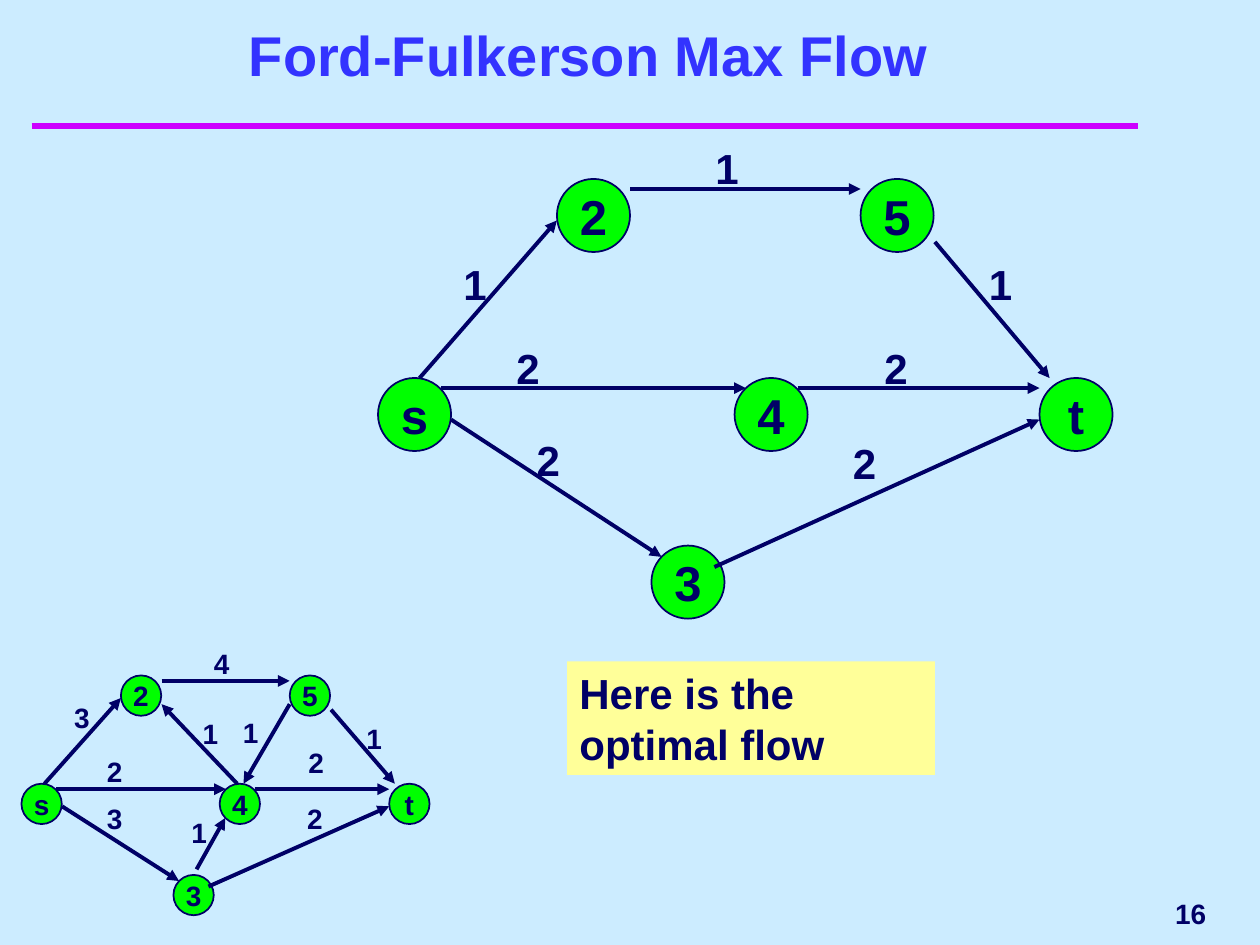
from pptx import Presentation
from pptx.dml.color import RGBColor
from pptx.enum.shapes import MSO_CONNECTOR, MSO_SHAPE
from pptx.enum.text import MSO_ANCHOR, PP_ALIGN
from pptx.oxml.ns import qn
from pptx.util import Inches, Pt
from lxml import etree

STRAIGHT = MSO_CONNECTOR.STRAIGHT
OVAL, RECTANGLE = MSO_SHAPE.OVAL, MSO_SHAPE.RECTANGLE
TOP, MIDDLE, BOTTOM = MSO_ANCHOR.TOP, MSO_ANCHOR.MIDDLE, MSO_ANCHOR.BOTTOM
LEFT, CENTER, RIGHT = PP_ALIGN.LEFT, PP_ALIGN.CENTER, PP_ALIGN.RIGHT
TITLE_ONLY = 5

COLORS = {"back": "CCECFF", "ink": "000066", "title": "3333FF",
          "rule": "CC00FF", "node": "00FF00", "note": "FFFF99"}

NODES = {"s": (3, 3), "2": (4.42, 1.42), "4": (5.83, 3),
         "5": (6.83, 1.42), "3": (5.17, 4.33), "t": (8.25, 3)}
FLOW_EDGES = [((3.58, 3.33), (5.25, 4.42)), ((3.33, 3), (4.42, 1.75)),
              ((3.5, 3.08), (5.92, 3.08)), ((5, 1.5), (6.83, 1.5)),
              ((6.33, 3.08), (8.25, 3.08)), ((5.67, 4.5), (8.25, 3.33)),
              ((7.42, 1.92), (8.33, 3))]
UNUSED_EDGES = [((6.08, 3), (5, 1.84)), ((6.83, 1.84), (6.17, 3)),
                ((5.5, 4.25), (5.91, 3.5))]
FLOW_LABELS = [("1", 5.58, 1.08), ("1", 7.75, 2), ("2", 6.92, 2.67),
               ("2", 6.67, 3.42), ("2", 4, 2.67), ("1", 3.58, 2),
               ("2", 4.16, 3.4)]
CAPACITY_LABELS = [("4", 1.6, 5.08), ("1", 2.81, 5.68), ("1", 1.83, 5.63),
                   ("2", 2.35, 5.87), ("2", 2.34, 6.31), ("1", 1.42, 6.42),
                   ("2", 0.75, 5.94), ("3", 0.49, 5.51), ("3", 0.75, 6.31),
                   ("1", 1.51, 5.64)]


def color(name):
    """Return the named palette colour."""
    return RGBColor.from_string(COLORS[name])


def write(box, text, size, align=LEFT, anchor=TOP, wrap=True, ink="ink"):
    """Put one bold Arial paragraph into a box."""
    frame = box.text_frame
    frame.text = text
    frame.word_wrap = wrap
    frame.vertical_anchor = anchor
    para = frame.paragraphs[0]
    para.alignment = align
    para.font.name = "Arial"
    para.font.size = Pt(size)
    para.font.bold = True
    para.font.color.rgb = color(ink)


def add_text(shapes, text, place, size, **style):
    """Add a text box at a place given in inches."""
    box = shapes.add_textbox(*map(Inches, place))
    write(box, text, size, **style)


def add_filled(shapes, kind, place, fill):
    """Add a preset shape with a flat fill and no shadow."""
    shape = shapes.add_shape(kind, *map(Inches, place))
    shape.shadow.inherit = False
    shape.fill.solid()
    shape.fill.fore_color.rgb = color(fill)
    return shape


def add_node(shapes, name, place, size):
    """Add a round graph node."""
    node = add_filled(shapes, OVAL, place, "node")
    node.line.color.rgb = color("ink")
    node.line.width = Pt(1)
    write(node, name, size, align=CENTER, anchor=MIDDLE, wrap=False)


def add_line(shapes, start, end, ink="ink", width=2.25, arrow=True):
    """Add a straight line, with an arrowhead at its end if wanted."""
    line = shapes.add_connector(STRAIGHT, *map(Inches, (*start, *end)))
    line.line.color.rgb = color(ink)
    line.line.width = Pt(width)
    if arrow:
        etree.SubElement(line.line._get_or_add_ln(), qn("a:tailEnd"), type="triangle")
    etree.SubElement(line._element.spPr, qn("a:effectLst"))


def add_graph(page, labels, edges, label_box, label_size, node_size,
              diameter, origin=NODES["s"], scale=(1, 1)):
    """Add a grouped flow network, scaled about its source node."""
    def spot(point):
        """Map a point of the network onto the slide."""
        return tuple(start + (value - base) * factor for start, value, base, factor
                     in zip(origin, point, NODES["s"], scale))

    shapes = page.shapes.add_group_shape().shapes
    for text, left, top in labels:
        add_text(shapes, text, (left, top, *label_box), label_size)
    for name, point in NODES.items():
        add_node(shapes, name, (*spot(point), diameter, diameter), node_size)
    for start, end in edges:
        add_line(shapes, spot(start), spot(end))


def add_title(page, text):
    """Place and format the slide title."""
    title = page.shapes.title
    title.left, title.top, title.width, title.height = map(Inches, (0.42, 0.33, 8.5, 0.42))
    write(title, text, 32, align=CENTER, anchor=BOTTOM, ink="title")


def main():
    """Build and save the slide."""
    deck = Presentation()
    deck.slide_width, deck.slide_height = Inches(10), Inches(7.5)
    page = deck.slides.add_slide(deck.slide_layouts[TITLE_ONLY])
    page.background.fill.solid()
    page.background.fill.fore_color.rgb = color("back")

    add_title(page, "Ford-Fulkerson Max Flow")
    add_line(page.shapes, (0.25, 1), (9.03, 1), "rule", 4, arrow=False)
    add_graph(page, CAPACITY_LABELS, FLOW_EDGES + UNUSED_EDGES, (0.33, 0.37),
              16, 16, 0.32, origin=(0.17, 6.22), scale=(0.556, 0.544))
    add_text(page.shapes, "16", (7.75, 7, 1.92, 0.5), 16, align=RIGHT, anchor=MIDDLE)
    add_graph(page, FLOW_LABELS, FLOW_EDGES, (0.59, 0.5), 24, 28, 0.58)
    note = add_filled(page.shapes, RECTANGLE, (4.5, 5.25, 2.92, 0.9), "note")
    note.line.fill.background()
    write(note, "Here is the optimal flow", 24)
    deck.save("out.pptx")


if __name__ == "__main__":
    main()
